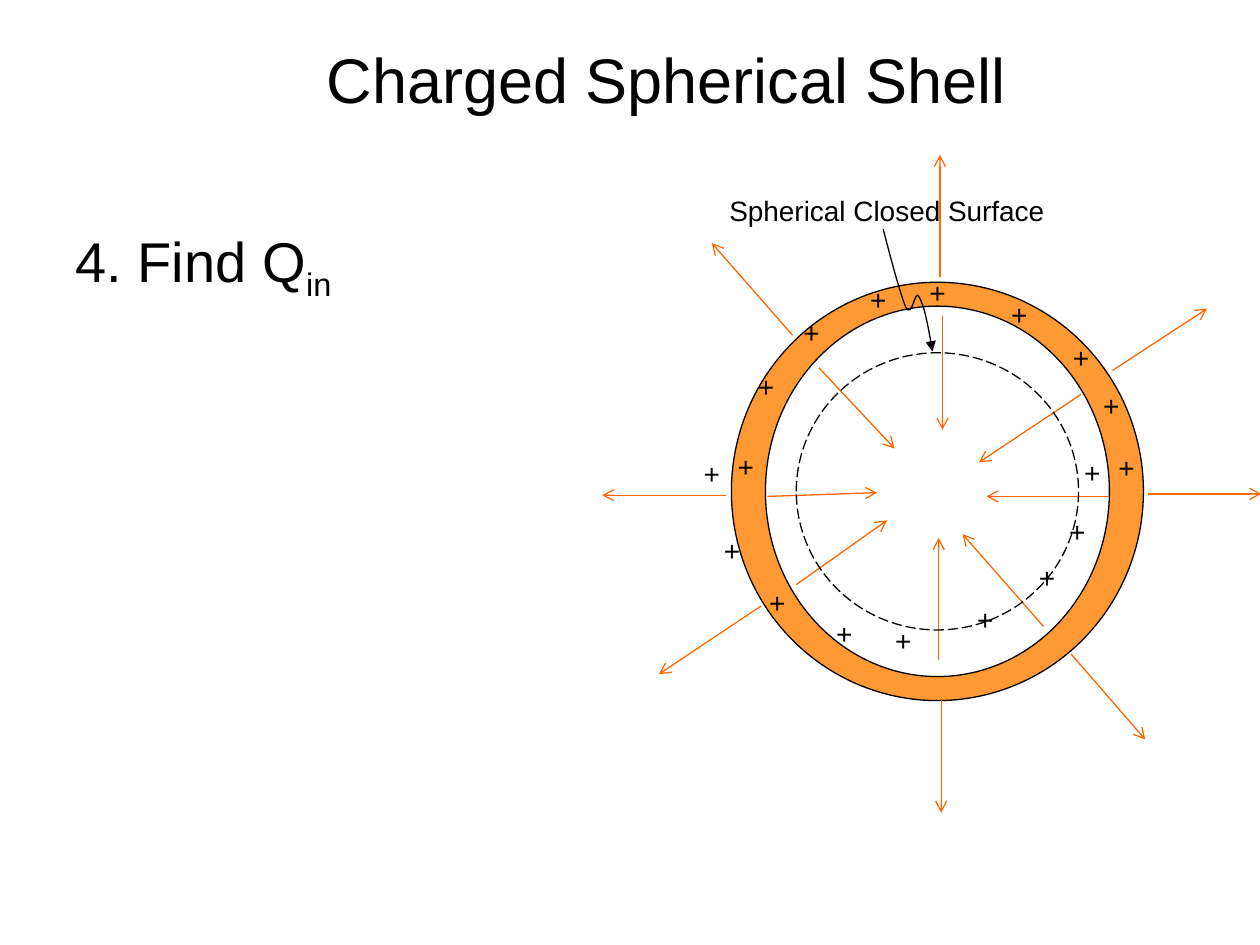
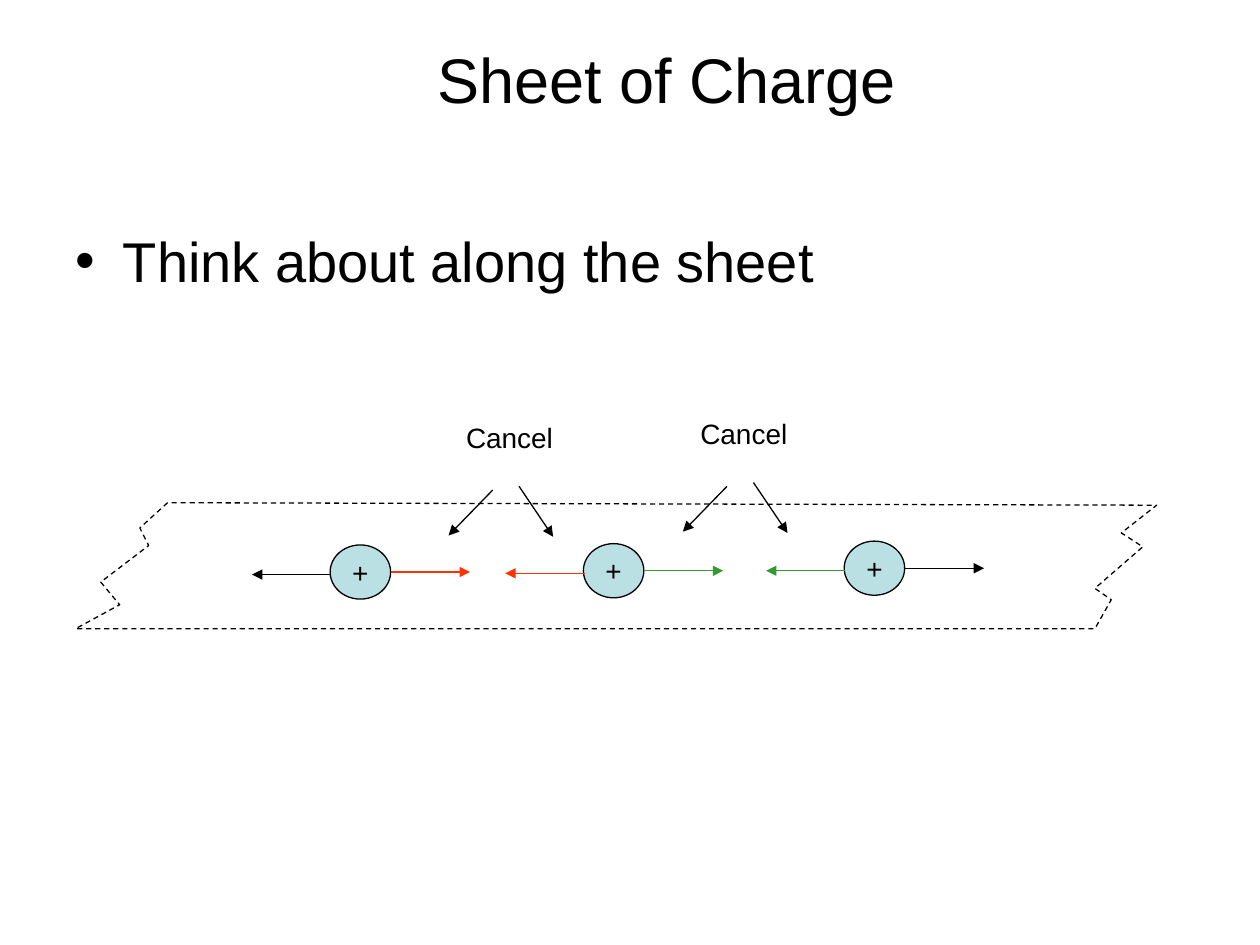
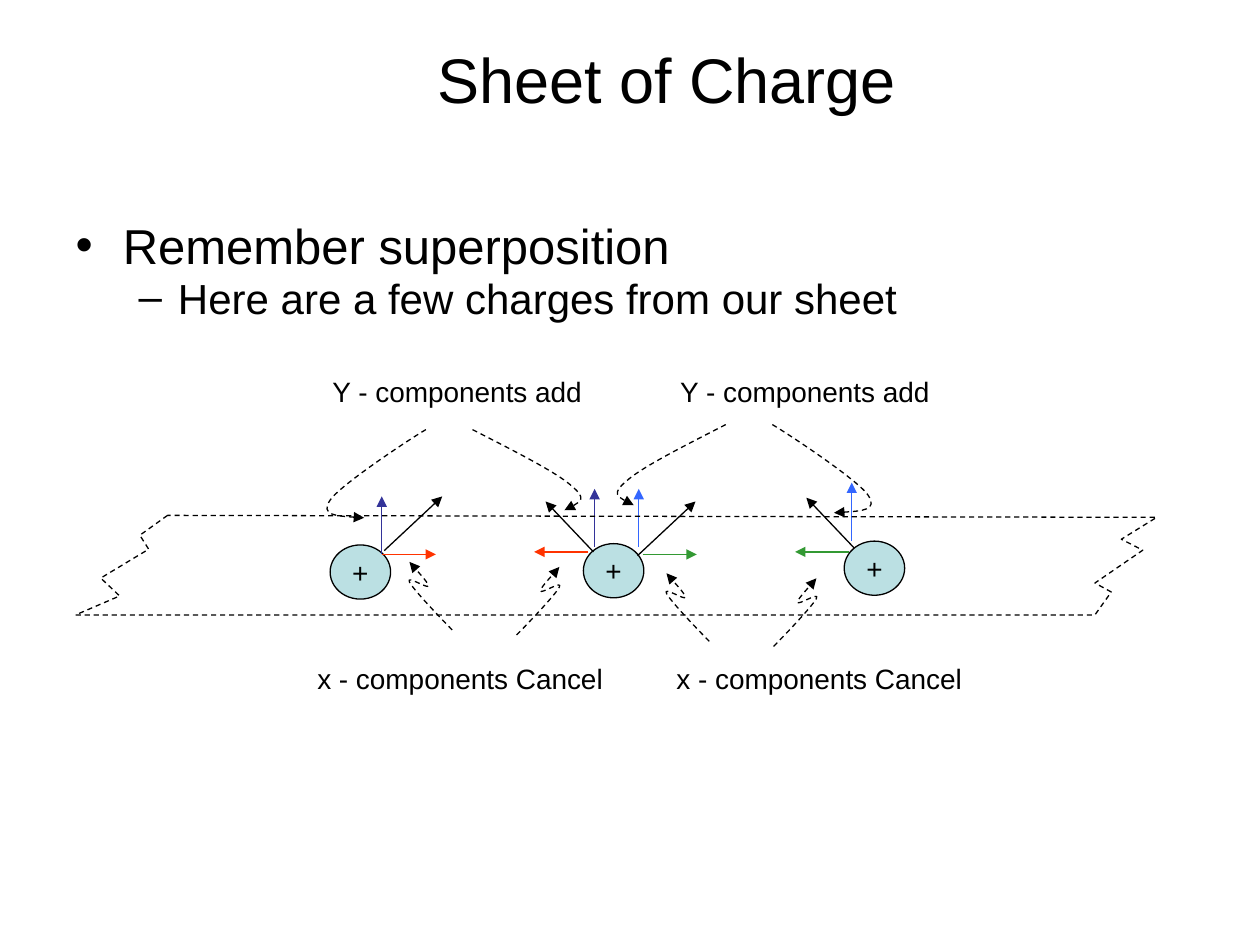
from dataclasses import dataclass

from lxml import etree
from pptx import Presentation
from pptx.dml.color import RGBColor
from pptx.enum.dml import MSO_LINE
from pptx.enum.shapes import MSO_CONNECTOR, MSO_SHAPE
from pptx.enum.text import MSO_ANCHOR, MSO_AUTO_SIZE, PP_ALIGN
from pptx.oxml.ns import qn
from pptx.util import Inches, Pt

COLUMNS, ROWS = 10, 7.5  # the slide grid has one-inch cells
FONT = "Arial"
BLACK, WHITE = "000000", "FFFFFF"
SHELL, FIELD = "FF9933", "FF6600"
CHARGE, RED, GREEN = "BBE0E3", "FF3300", "339933"
NAVY, BLUE = "333399", "3366FF"

# Shell parts are measured from the centre of the shell.
FIELD_ARROWS = [
    ((-1.35, .04), (-.48, .01)), ((-1.68, .03), (-2.66, .03)),
    ((1.67, .02), (2.57, .02)), ((1.36, .04), (.39, .04)),
    ((.04, -1.39), (.04, -.49)), ((.02, -1.7), (.02, -2.67)),
    ((.03, 1.65), (.03, 2.55)), ((.01, 1.34), (.01, .37)),
    ((-.94, -.98), (-.34, -.34)), ((-1.15, -1.24), (-1.79, -1.97)),
    ((1.06, 1.29), (1.65, 1.97)), ((.84, 1.07), (.2, .34)),
    ((-1.12, .74), (-.4, .23)), ((-1.4, .91), (-2.21, 1.45)),
    ((1.39, -.96), (2.14, -1.45)), ((1.14, -.77), (.33, -.23)),
]
UPPER_CHARGES = [
    (-1.52, -.2), (1.5, -.19), (0, -1.58), (-1, -1.26), (1.14, -1.06),
    (.65, -1.4), (-.47, -1.52), (-1.36, -.83), (1.38, -.68),
]
SURFACE_POINTER = [
    (-.43, -2.08), (-.36, -1.81), (-.29, -1.55), (-.25, -1.46), (-.2, -1.37),
    (-.18, -1.6), (-.15, -1.55), (-.11, -1.49), (-.07, -1.3), (-.04, -1.11),
]

# Sheet outline: columns from its left edge, shares of its height.
SHEET_OUTLINE = [
    (.73, 0), (.51, .2), (.58, .34), (.2, .63), (.35, .81), (0, 1),
    (8.09, 1), (8.22, .77), (8.09, .68), (8.47, .35), (8.3, .24), (8.58, .02),
]
CHARGE_CENTRES = [(2.26, .01), (4.27, 0), (6.34, -.02)]

# Pointer curves end at their tip, which is (0, 0).
HOOK = [
    (.34, .54), (.26, .46), (.03, .22), (0, .16), (-.03, .1),
    (.15, .22), (.15, .19), (.15, .17), (.07, .08), (0, 0),
]
WIDE_LOOP = [(.49, -.7), (.37, -.63), (-.19, -.26), (-.27, -.14),
             (-.35, -.02), (-.18, -.01), (0, 0)]
NARROW_LOOP = [(-.73, -.64), (-.4, -.47), (-.06, -.3), (.06, -.19),
               (.18, -.09), (.09, -.04), (0, 0)]


@dataclass
class Area:
    """A region of a slide whose parts are placed from its origin."""
    page: object
    left: float
    top: float

    def at(self, column, row):
        return Inches(self.left + column), Inches(self.top + row)

    def shift(self, column, row):
        return Area(self.page, self.left + column, self.top + row)


def colour(value):
    return RGBColor.from_string(value)


def write(para, text, size=16, subscript=False):
    span = para.add_run()
    span.text = text
    span.font.name = FONT
    span.font.size = Pt(size)
    span.font.color.rgb = colour(BLACK)
    if subscript:
        span._r.get_or_add_rPr().set("baseline", "-25000")


def style_line(item, value=BLACK, dash=None, arrow=None):
    item.line.color.rgb = colour(value)
    item.line.width = Pt(.75)
    if dash:
        item.line.dash_style = dash
    if arrow:
        tail = etree.SubElement(item.line._get_or_add_ln(), qn("a:tailEnd"))
        tail.set("type", arrow)


def add_label(area, text, column, row, width, height=.37, align=PP_ALIGN.LEFT):
    box = area.page.shapes.add_textbox(
        *area.at(column, row), Inches(width), Inches(height))
    box.text_frame.word_wrap = False
    para = box.text_frame.paragraphs[0]
    para.alignment = align
    write(para, text)


def add_ellipse(area, width, height, fill=None, dash=None):
    """Add an ellipse centred on the origin of the area."""
    ellipse = area.page.shapes.add_shape(
        MSO_SHAPE.OVAL, *area.at(-width / 2, -height / 2),
        Inches(width), Inches(height))
    ellipse.shadow.inherit = False
    if fill:
        ellipse.fill.solid()
        ellipse.fill.fore_color.rgb = colour(fill)
    else:
        ellipse.fill.background()
    style_line(ellipse, dash=dash)
    return ellipse


def add_arrow(area, start, end, value=BLACK, head="triangle"):
    arrow = area.page.shapes.add_connector(
        MSO_CONNECTOR.STRAIGHT, *area.at(*start), *area.at(*end))
    style_line(arrow, value, arrow=head)
    etree.SubElement(arrow._element.spPr, qn("a:effectLst"))


def add_outline(area, points, close=False, dash=None, arrow=None):
    corners = [area.at(*point) for point in points]
    builder = area.page.shapes.build_freeform(*corners[0])
    builder.add_line_segments(corners[1:], close=close)
    outline = builder.convert_to_shape()
    outline.shadow.inherit = False
    outline.fill.background()
    style_line(outline, dash=dash, arrow=arrow)
    return outline


def add_curve(area, points, side=1, dash=None):
    """Add a Bezier pointer; side -1 mirrors it left to right."""
    curve = add_outline(area, [(side * x, y) for x, y in points],
                        dash=dash, arrow="triangle")
    path = curve._element.find(".//" + qn("a:path"))
    segments = path.findall(qn("a:lnTo"))
    for first in range(0, len(segments), 3):
        bezier = etree.SubElement(path, qn("a:cubicBezTo"))
        for segment in segments[first:first + 3]:
            bezier.append(segment[0])
            path.remove(segment)


def place(holder, left, top, width, height):
    holder.left, holder.top = Inches(left), Inches(top)
    holder.width, holder.height = Inches(width), Inches(height)
    holder.text_frame.auto_size = MSO_AUTO_SIZE.NONE
    return holder.text_frame


def add_page(deck, title, body_width, body_height):
    page = deck.slides.add_slide(deck.slide_layouts[1])
    frame = place(page.shapes.title, 1.75, 0, 7.08, 1.25)
    frame.vertical_anchor = MSO_ANCHOR.MIDDLE
    para = frame.paragraphs[0]
    para.alignment = PP_ALIGN.CENTER
    write(para, title, size=36)
    body = place(page.placeholders[1], .5, 1.75, body_width, body_height)
    return page, body


def draw_shell(shell):
    add_ellipse(shell, 3.27, 3.32, SHELL)
    add_ellipse(shell, 2.73, 2.94, WHITE)
    lower_charges = [(x - .27, -.33 - .96 * y) for x, y in UPPER_CHARGES]
    for x, y in UPPER_CHARGES + lower_charges:
        add_label(shell, "+", x - .165, y - .185, .33, align=PP_ALIGN.CENTER)
    for start, end in FIELD_ARROWS:
        add_arrow(shell, start, end, FIELD, head="arrow")
    add_curve(shell, SURFACE_POINTER)
    add_label(shell, "Spherical Closed Surface", -1.75, -2.41, 2.7)
    add_ellipse(shell, 2.24, 2.2, dash=MSO_LINE.LONG_DASH)


def draw_sheet(sheet, top, height):
    points = [(x, top + share * height) for x, share in SHEET_OUTLINE]
    add_outline(sheet, points, close=True, dash=MSO_LINE.DASH)


def draw_charge(centre):
    charge = add_ellipse(centre, .48, .43, CHARGE)
    frame = charge.text_frame
    frame.word_wrap = False
    frame.vertical_anchor = MSO_ANCHOR.MIDDLE
    frame.paragraphs[0].alignment = PP_ALIGN.CENTER
    write(frame.paragraphs[0], "+")


def draw_cancel_callout(callout):
    add_label(callout, "Cancel", 0, 0, .89)
    add_arrow(callout, (.31, .6), (-.04, .96))
    add_arrow(callout, (.52, .57), (.79, .97))


def draw_components(sheet, side, diagonal, across, up, across_colour, up_colour):
    """Draw a field vector and its x and y parts from their three starts."""
    reach = (.46, -.43) if side > 0 else (-.38, -.4)
    for start, (dx, dy), value in (
            (diagonal, reach, BLACK),
            (across, (side * .43, 0), across_colour),
            (up, (0, -.46), up_colour)):
        add_arrow(sheet, start, (start[0] + dx, start[1] + dy), value)


def shell_page(deck):
    page, body = add_page(deck, "Charged Spherical Shell", 4.44, 4.95)
    para = body.paragraphs[0]
    properties = para._p.get_or_add_pPr()
    properties.set("marL", "0")
    properties.set("indent", "0")
    etree.SubElement(properties, qn("a:buNone"))
    write(para, "4. Find Q", size=32)
    write(para, "in", size=32, subscript=True)
    draw_shell(Area(page, 7.44, 3.9))


def along_sheet_page(deck):
    page, body = add_page(deck, "Sheet of Charge", 9, .9)
    write(body.paragraphs[0], "Think about along the sheet", size=32)
    sheet = Area(page, .6, 4.53)
    arrow_colours = [(BLACK, RED), (RED, GREEN), (GREEN, BLACK)]
    for position, (left, right) in zip(CHARGE_CENTRES, arrow_colours):
        centre = sheet.shift(*position)
        draw_charge(centre)
        add_arrow(centre, (.24, 0), (.87, 0), right)
        add_arrow(centre, (-.23, .02), (-.86, .02), left)
    for position in ((3, -1.24), (4.86, -1.27)):
        draw_cancel_callout(sheet.shift(*position))
    draw_sheet(sheet, -.54, 1)


def superposition_page(deck):
    page, body = add_page(deck, "Sheet of Charge", 9, .9)
    lines = [("Remember superposition", 28),
             ("Here are a few charges from our sheet", 24)]
    for level, (text, size) in enumerate(lines):
        para = body.add_paragraph() if level else body.paragraphs[0]
        para.level = level
        para.line_spacing = .8
        write(para, text, size=size)

    sheet = Area(page, .6, 4.53)
    for position in CHARGE_CENTRES:
        draw_charge(sheet.shift(*position))
    for vectors in (
            (1, (2.45, -.16), (2.43, -.13), (2.43, -.13), RED, NAVY),
            (-1, (4.11, -.15), (4.07, -.15), (4.12, -.19), RED, NAVY),
            (1, (4.46, -.12), (4.5, -.13), (4.47, -.19), GREEN, BLUE),
            (-1, (6.18, -.18), (6.14, -.15), (6.16, -.24), GREEN, BLUE)):
        draw_components(sheet, *vectors)

    for curve, tip, side in (
            (HOOK, (2.65, -.07), 1), (HOOK, (3.84, -.03), -1),
            (HOOK, (4.69, .02), 1), (HOOK, (5.88, .06), -1),
            (WIDE_LOOP, (2.29, -.42), 1), (WIDE_LOOP, (6.02, -.46), -1),
            (NARROW_LOOP, (3.88, -.48), 1), (NARROW_LOOP, (4.43, -.52), -1)):
        add_curve(sheet.shift(*tip), curve, side, dash=MSO_LINE.DASH)
    for column in (1.94, 4.7):
        add_label(sheet, "Y - components add", column, -1.61, 2.19)
    for column in (1.82, 4.67):
        add_label(sheet, "x - components Cancel", column, .67, 2.47)
    draw_sheet(sheet, -.44, .79)


def main():
    deck = Presentation()
    deck.slide_width, deck.slide_height = Inches(COLUMNS), Inches(ROWS)
    shell_page(deck)
    along_sheet_page(deck)
    superposition_page(deck)
    deck.save("out.pptx")


if __name__ == "__main__":
    main()
